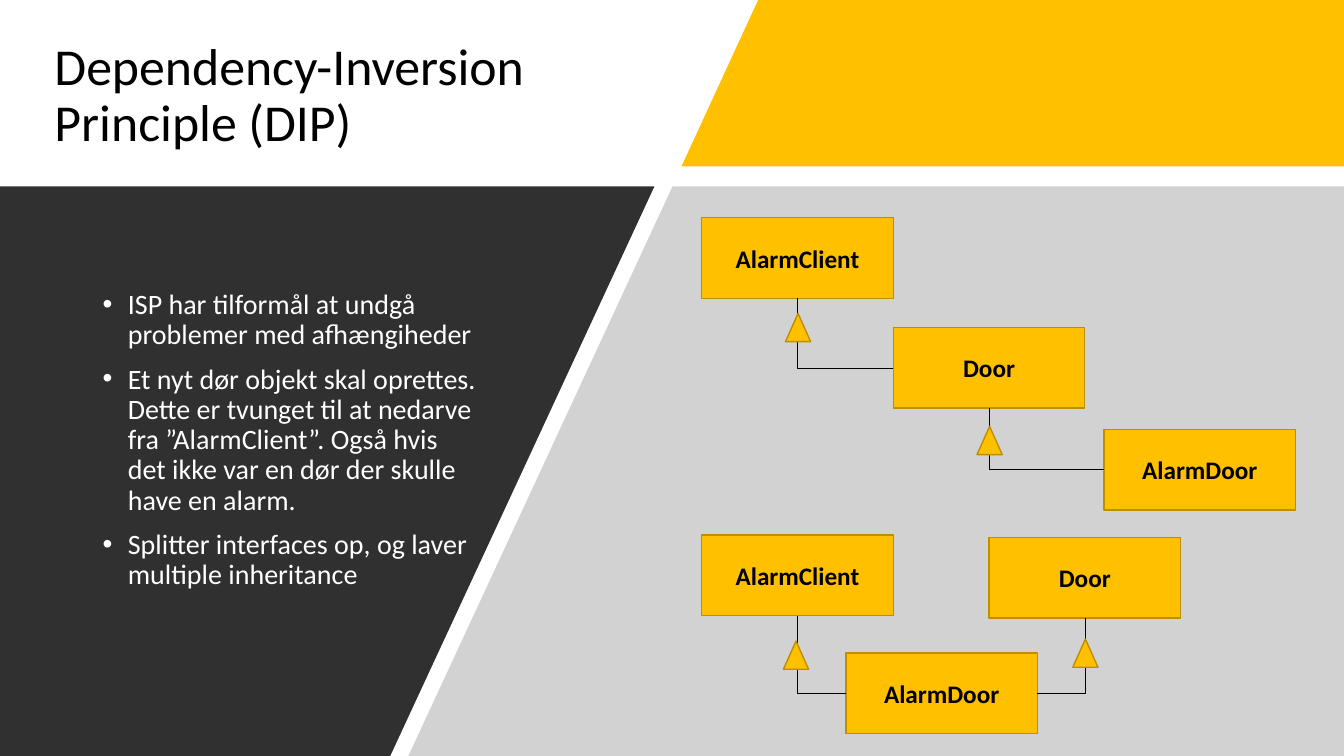
"""Build the Dependency-Inversion Principle slide with its two class diagrams."""
from dataclasses import dataclass

from lxml.etree import SubElement
from pptx import Presentation
from pptx.dml.color import RGBColor
from pptx.enum.shapes import MSO_CONNECTOR as Connector, MSO_SHAPE as Preset
from pptx.enum.text import MSO_ANCHOR as Anchor, PP_ALIGN as Align
from pptx.oxml.ns import qn
from pptx.shapes.autoshape import Shape
from pptx.slide import Slide
from pptx.text.text import TextFrame, _Paragraph as Paragraph
from pptx.util import Emu, Pt

EMU_PER_PX = 9144
FONT = "Calibri"
AMBER, AMBER_EDGE = "FFC000", "BD8E00"
BLACK, WHITE, CHARCOAL, GREY = "000000", "FFFFFF", "303030", "A6A6A6"
BOX_WIDTH, BOX_HEIGHT = 190, 80
ARROW_WIDTH, ARROW_HEIGHT = 25, 28
LEFT_SITE, BOTTOM_SITE, RIGHT_SITE = 1, 2, 3


@dataclass(frozen=True)
class Panel:
    points: tuple[tuple[int, int], ...]
    color: str
    opacity: int = 100


@dataclass(frozen=True)
class ClassBox:
    key: str
    name: str
    left: int
    top: int


@dataclass(frozen=True)
class Inheritance:
    child: str
    parent: str
    child_site: int
    arrow_left: int
    arrow_top: int


PANELS = (
    Panel(((752, 0), (1333, 0), (1333, 165), (676, 165)), AMBER),
    Panel(((667, 185), (1333, 185), (1333, 750), (405, 750)), GREY, 50),
    Panel(((0, 185), (649, 185), (387, 750), (0, 750)), CHARCOAL),
)
TITLE_LINES = ("Dependency-Inversion ", "Principle (DIP)")
BULLETS = (
    "ISP har tilformål at undgå problemer med afhængiheder",
    "Et nyt dør objekt skal oprettes. Dette er tvunget til at nedarve fra "
    "”AlarmClient”. Også hvis det ikke var en dør der skulle have en alarm.",
    "Splitter interfaces op, og laver multiple inheritance",
)
CLASS_BOXES = (
    ClassBox("chain client", "AlarmClient", 696, 216),
    ClassBox("chain door", "Door", 886, 325),
    ClassBox("chain alarm door", "AlarmDoor", 1095, 426),
    ClassBox("split client", "AlarmClient", 696, 531),
    ClassBox("split door", "Door", 981, 533),
    ClassBox("split alarm door", "AlarmDoor", 839, 648),
)
INHERITANCES = (
    Inheritance("chain door", "chain client", LEFT_SITE, 779, 311),
    Inheritance("chain alarm door", "chain door", LEFT_SITE, 969, 423),
    Inheritance("split alarm door", "split client", LEFT_SITE, 777, 636),
    Inheritance("split alarm door", "split door", RIGHT_SITE, 1064, 634),
)


def px(length: int) -> Emu:
    """Turn pixels into EMU."""
    return Emu(length * EMU_PER_PX)


def rgb(color: str) -> RGBColor:
    """Turn a hex string into a colour."""
    return RGBColor.from_string(color)


def place(shape: Shape, left: int, top: int, width: int, height: int) -> None:
    """Move and size a shape."""
    shape.left, shape.top = px(left), px(top)
    shape.width, shape.height = px(width), px(height)


def add_run(paragraph: Paragraph, text: str, size: int, color: str, bold: bool = False) -> None:
    """Add one formatted run."""
    run = paragraph.add_run()
    run.text = text
    run.font.name, run.font.size, run.font.bold = FONT, Pt(size), bold
    run.font.color.rgb = rgb(color)


def set_up_frame(frame: TextFrame) -> None:
    """Wrap the text and centre it vertically."""
    frame.word_wrap = True
    frame.vertical_anchor = Anchor.MIDDLE


def add_title(slide: Slide) -> None:
    """Place and fill the title placeholder."""
    title = slide.shapes.title
    place(title, 44, 33, 795, 125)
    set_up_frame(title.text_frame)
    paragraph = title.text_frame.paragraphs[0]
    paragraph.alignment, paragraph.line_spacing = Align.LEFT, 0.9
    for index, line in enumerate(TITLE_LINES):
        if index:
            paragraph.add_line_break()
        add_run(paragraph, line, 37, BLACK)


def add_panel(slide: Slide, panel: Panel) -> None:
    """Draw one slanted background panel."""
    start, *others = panel.points
    builder = slide.shapes.build_freeform(*start, scale=EMU_PER_PX)
    builder.add_line_segments(others, close=True)
    shape = builder.convert_to_shape()
    shape.shadow.inherit = False
    shape.fill.solid()
    shape.fill.fore_color.rgb = rgb(panel.color)
    shape.line.fill.background()
    if panel.opacity < 100:
        color = shape.fill._xPr.find(qn("a:solidFill"))[0]
        SubElement(color, qn("a:alpha"), val=str(panel.opacity * 1000))


def add_bullets(slide: Slide) -> None:
    """Write the bulleted text on the dark panel."""
    frame = slide.shapes.add_textbox(px(92), px(238), px(394), px(398)).text_frame
    set_up_frame(frame)
    for index, text in enumerate(BULLETS):
        paragraph = frame.add_paragraph() if index else frame.paragraphs[0]
        paragraph.line_spacing, paragraph.space_before = 0.9, Pt(10)
        properties = paragraph._p.get_or_add_pPr()
        properties.set("marL", str(px(25)))
        properties.set("indent", str(px(-25)))
        SubElement(properties, qn("a:buFont"), typeface="Arial")
        SubElement(properties, qn("a:buChar"), char="•")
        add_run(paragraph, text, 20, WHITE)


def add_amber_shape(slide: Slide, preset: Preset, left: int, top: int,
                    width: int, height: int) -> Shape:
    """Draw an amber preset shape with a darker edge."""
    shape = slide.shapes.add_shape(preset, px(left), px(top), px(width), px(height))
    shape.shadow.inherit = False
    shape.fill.solid()
    shape.fill.fore_color.rgb = rgb(AMBER)
    shape.line.color.rgb = rgb(AMBER_EDGE)
    shape.line.width = Pt(1)
    return shape


def add_class_box(slide: Slide, box: ClassBox) -> Shape:
    """Draw one named class box."""
    shape = add_amber_shape(slide, Preset.RECTANGLE, box.left, box.top, BOX_WIDTH, BOX_HEIGHT)
    set_up_frame(shape.text_frame)
    paragraph = shape.text_frame.paragraphs[0]
    paragraph.alignment = Align.CENTER
    add_run(paragraph, box.name, 18, BLACK, bold=True)
    return shape


def add_inheritance(slide: Slide, link: Inheritance, boxes: dict[str, Shape]) -> None:
    """Join a child to its parent and add the inheritance arrowhead."""
    connector = slide.shapes.add_connector(Connector.ELBOW, 0, 0, 0, 0)
    connector.begin_connect(boxes[link.child], link.child_site)
    connector.end_connect(boxes[link.parent], BOTTOM_SITE)
    connector.line.color.rgb = rgb(BLACK)
    connector.line.width = Pt(0.5)
    properties = connector._element.spPr
    properties.find(qn("a:prstGeom")).set("prst", "bentConnector2")
    SubElement(properties, qn("a:effectLst"))
    add_amber_shape(slide, Preset.ISOSCELES_TRIANGLE, link.arrow_left, link.arrow_top,
                    ARROW_WIDTH, ARROW_HEIGHT)


def main() -> None:
    """Build and save the slide."""
    presentation = Presentation()
    presentation.slide_width, presentation.slide_height = px(1333), px(750)
    slide = presentation.slides.add_slide(presentation.slide_layouts.get_by_name("Title Only"))
    add_title(slide)
    for panel in PANELS:
        add_panel(slide, panel)
    add_bullets(slide)
    boxes = {box.key: add_class_box(slide, box) for box in CLASS_BOXES}
    for link in INHERITANCES:
        add_inheritance(slide, link, boxes)
    presentation.save("out.pptx")


if __name__ == "__main__":
    main()
